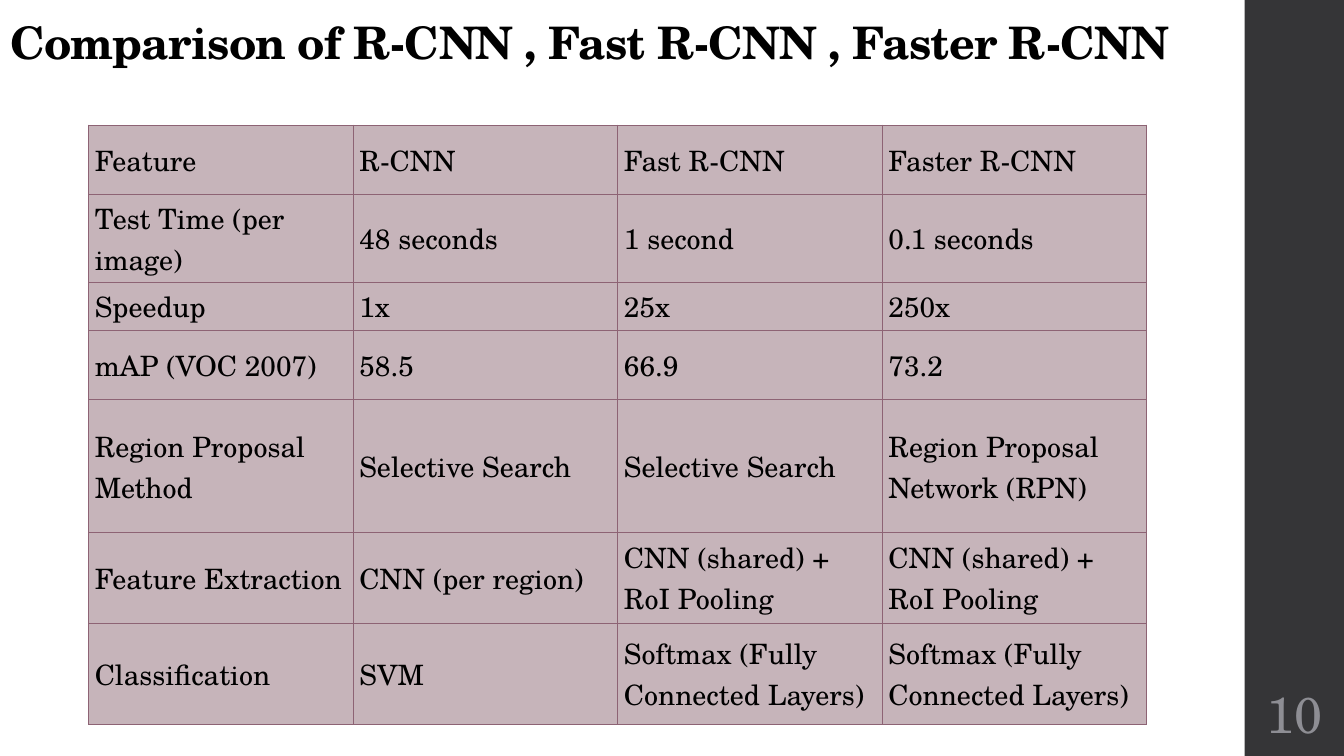
"""Build a slide comparing R-CNN, Fast R-CNN and Faster R-CNN."""
import pptx
import pptx.util
import pptx.dml.color
import pptx.enum.shapes
import pptx.enum.text
import pptx.oxml
import pptx.oxml.ns
from dataclasses import dataclass

Pt = pptx.util.Pt
Color = pptx.dml.color.RGBColor.from_string
Anchor = pptx.enum.text.MSO_ANCHOR
Align = pptx.enum.text.PP_ALIGN

HEADING = "Comparison of R-CNN , Fast R-CNN , Faster R-CNN"
PAGE = "10"
COMPARISON = [
    (49.5, ("Feature", "R-CNN", "Fast R-CNN", "Faster R-CNN")),
    (63, ("Test Time (per image)", "48 seconds", "1 second", "0.1 seconds")),
    (34.2, ("Speedup", "1x", "25x", "250x")),
    (49.5, ("mAP (VOC 2007)", "58.5", "66.9", "73.2")),
    (95, ("Region Proposal Method", "Selective Search", "Selective Search",
          "Region Proposal Network (RPN)")),
    (64.5, ("Feature Extraction", "CNN (per region)",
            "CNN (shared) + RoI Pooling", "CNN (shared) + RoI Pooling")),
    (72.5, ("Classification", "SVM", "Softmax (Fully Connected Layers)",
            "Softmax (Fully Connected Layers)")),
]


@dataclass(frozen=True)
class Theme:
    """Colours, font and type sizes of the slide."""
    font: str = "TeX Gyre Schola"
    ink: str = "000000"
    band: str = "353537"
    page: str = "8E8E94"
    cell: str = "C6B4BA"
    border: str = "8D6374"
    heading_size: int = 32
    cell_size: int = 20
    page_size: int = 36
    border_width: float = 0.75


THEME = Theme()
WIDTH, HEIGHT = 960, 540
BAND_LEFT, BAND_WIDTH = 889, 72
GRID_LEFT, GRID_TOP, GRID_WIDTH = 63.2, 89.4, 756


def apply(target, values):
    """Set each named attribute of the target."""
    for name, value in values.items():
        setattr(target, name, value)


def write(frame, text, size, color, bold=False, align=Align.LEFT):
    """Put one formatted run in a text frame and return it."""
    paragraph = frame.paragraphs[0]
    paragraph.alignment = align
    run = paragraph.add_run()
    run.text = text
    apply(run.font, {"name": THEME.font, "size": Pt(size), "bold": bold})
    run.font.color.rgb = Color(color)
    return run


def outline(cell):
    """Draw the four borders of a cell."""
    properties = cell._tc.get_or_add_tcPr()
    for side in ("lnL", "lnR", "lnT", "lnB"):
        properties.append(pptx.oxml.parse_xml(
            f'<a:{side} {pptx.oxml.ns.nsdecls("a")} w="{Pt(THEME.border_width)}">'
            f'<a:solidFill><a:srgbClr val="{THEME.border}"/></a:solidFill></a:{side}>'))


def add_heading(slide):
    """Place the slide title."""
    heading = slide.shapes.title
    apply(heading, {"left": Pt(0), "top": Pt(2.9), "width": Pt(843), "height": Pt(50.4)})
    apply(heading.text_frame, {"vertical_anchor": Anchor.BOTTOM, "word_wrap": True,
                               "auto_size": pptx.enum.text.MSO_AUTO_SIZE.NONE})
    run = write(heading.text_frame, HEADING, THEME.heading_size, THEME.ink, bold=True)
    run.font._element.set("spc", "-50")
    heading.text_frame.paragraphs[0].line_spacing = 0.9


def add_band(slide):
    """Draw the side band and its page number."""
    band = slide.shapes.add_shape(pptx.enum.shapes.MSO_SHAPE.RECTANGLE,
                                  Pt(BAND_LEFT), Pt(0), Pt(BAND_WIDTH), Pt(HEIGHT))
    band.shadow.inherit = False
    band.fill.solid()
    band.fill.fore_color.rgb = Color(THEME.band)
    band.line.fill.background()
    page = slide.shapes.add_textbox(Pt(BAND_LEFT), Pt(486), Pt(BAND_WIDTH), Pt(46.8))
    inset = Pt(3.6)
    apply(page.text_frame, {"word_wrap": True, "vertical_anchor": Anchor.MIDDLE,
                            "margin_left": inset, "margin_right": inset,
                            "margin_top": inset, "margin_bottom": inset})
    write(page.text_frame, PAGE, THEME.page_size, THEME.page, align=Align.CENTER)


def add_comparison(slide):
    """Fill the comparison table."""
    columns = len(COMPARISON[0][1])
    total = sum(height for height, _ in COMPARISON)
    grid = slide.shapes.add_table(len(COMPARISON), columns, Pt(GRID_LEFT), Pt(GRID_TOP),
                                  Pt(GRID_WIDTH), Pt(total)).table
    apply(grid, {"first_row": False, "horz_banding": False})
    for column in grid.columns:
        column.width = Pt(GRID_WIDTH / columns)
    for row, (height, entries) in zip(grid.rows, COMPARISON):
        row.height = Pt(height)
        for cell, entry in zip(row.cells, entries):
            apply(cell, {"vertical_anchor": Anchor.MIDDLE,
                         "margin_left": Pt(4.5), "margin_right": Pt(4.5),
                         "margin_top": Pt(2.25), "margin_bottom": Pt(2.25)})
            outline(cell)
            cell.fill.solid()
            cell.fill.fore_color.rgb = Color(THEME.cell)
            write(cell.text_frame, entry, THEME.cell_size, THEME.ink)


def main():
    """Assemble and save the slide."""
    deck = pptx.Presentation()
    apply(deck, {"slide_width": Pt(WIDTH), "slide_height": Pt(HEIGHT)})
    slide = deck.slides.add_slide(deck.slide_layouts.get_by_name("Title Only"))
    add_band(slide)
    add_heading(slide)
    add_comparison(slide)
    deck.save("out.pptx")


if __name__ == "__main__":
    main()
